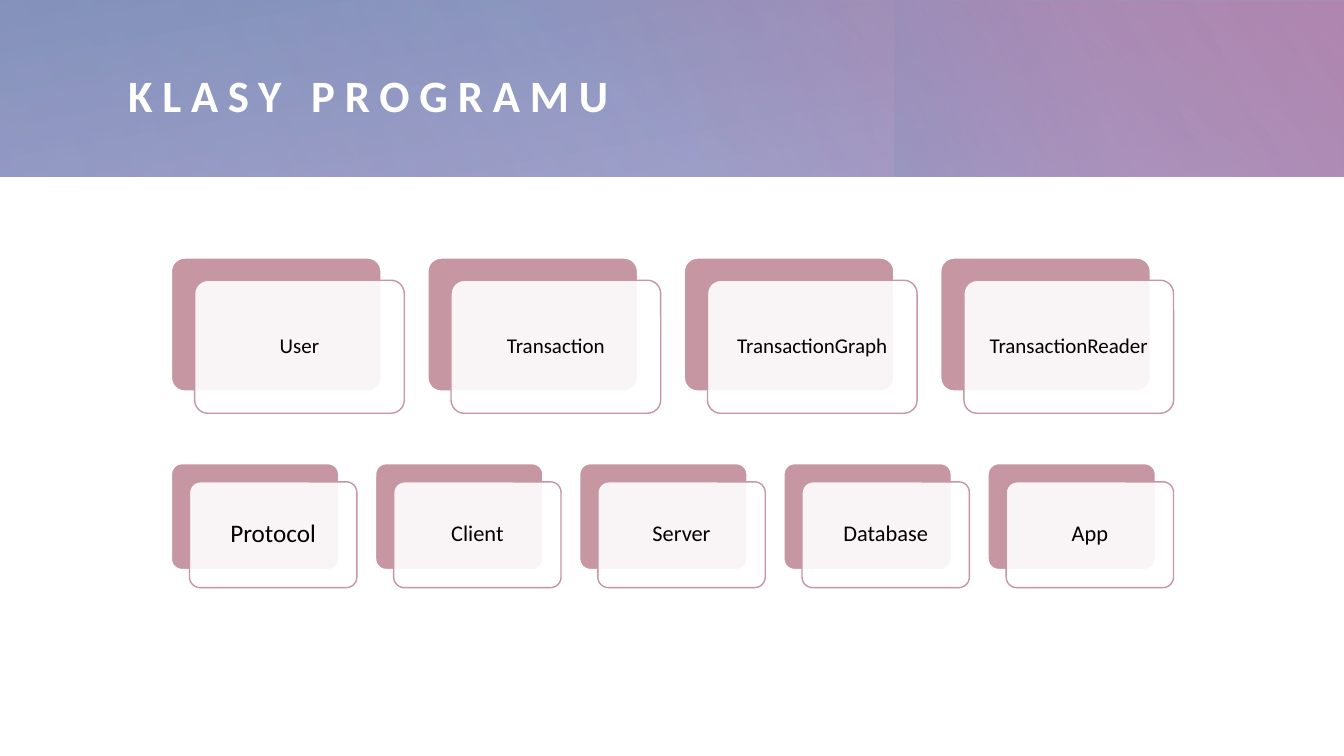
from dataclasses import dataclass

from lxml.etree import SubElement
from pptx import Presentation
from pptx.dml.color import RGBColor
from pptx.enum.shapes import MSO_SHAPE
from pptx.enum.text import MSO_ANCHOR, PP_ALIGN
from pptx.oxml.ns import qn
from pptx.shapes.autoshape import Shape
from pptx.slide import Slide
from pptx.text.text import TextFrame
from pptx.util import Inches, Pt

COLOURS = {
    "white": "FFFFFF",
    "black": "000000",
    "rose": "C696A2",
    "lavender": "9A96C6",
    "blue": "7F92BA",
    "pink": "BA7FA6",
    "violet": "9D7FBA",
}
FONT = "Calibri"
CARDS_LEFT = 1.7
CARDS_RIGHT = 11.64


@dataclass(frozen=True)
class Stop:
    position: int
    colour: str
    opacity: int = 100


@dataclass(frozen=True)
class Band:
    left: float
    top: float
    width: float
    height: float
    angle: int
    start: Stop
    end: Stop
    rotation: int = 0


@dataclass(frozen=True)
class Label:
    text: str
    size: int


@dataclass(frozen=True)
class CardRow:
    top: float
    width: float
    height: float
    shift_x: float
    shift_y: float
    inset: float
    labels: tuple[Label, ...]


BANDS = (
    Band(0, 0, 13.33, 1.75, 260, Stop(0, "lavender", 83), Stop(100, "blue")),
    Band(4.81, 0.01, 8.52, 1.74, 310, Stop(22, "pink", 0), Stop(99, "pink")),
    Band(9.87, -0.99, 1.75, 3.74, 250, Stop(45, "violet", 0), Stop(99, "blue", 33), 270),
    Band(2.68, 0, 10.64, 1.75, 330, Stop(0, "lavender", 30), Stop(99, "lavender", 0), 180),
    Band(0, 0, 8.65, 1.75, 340, Stop(0, "lavender", 21), Stop(99, "lavender", 0)),
)
ROWS = (
    CardRow(2.56, 2.08, 1.32, 0.23, 0.22, 0.1, (
        Label("User", 15),
        Label("Transaction", 15),
        Label("TransactionGraph", 15),
        Label("TransactionReader", 15),
    )),
    CardRow(4.6, 1.66, 1.05, 0.18, 0.18, 0.1, (
        Label("Protocol", 18),
        Label("Client", 16),
        Label("Server", 16),
        Label("Database", 16),
        Label("App", 16),
    )),
)


def rgb(name: str) -> RGBColor:
    """Return the named colour."""
    return RGBColor.from_string(COLOURS[name])


def set_opacity(shape: Shape, opacities: tuple[int, ...]) -> None:
    """Give each fill colour of the shape its opacity in percent."""
    for colour, opacity in zip(shape._element.spPr.iter(qn("a:srgbClr")), opacities):
        if opacity < 100:
            SubElement(colour, qn("a:alpha")).set("val", str(opacity * 1000))


def add_band(page: Slide, band: Band) -> None:
    """Draw one gradient layer of the header."""
    shape = page.shapes.add_shape(
        MSO_SHAPE.RECTANGLE,
        Inches(band.left), Inches(band.top), Inches(band.width), Inches(band.height),
    )
    shape.shadow.inherit = False
    shape.rotation = band.rotation
    shape.line.fill.background()
    shape.fill.gradient()
    shape.fill.gradient_angle = 360 - band.angle
    stops = (band.start, band.end)
    for target, stop in zip(shape.fill.gradient_stops, stops):
        target.position = stop.position / 100
        target.color.rgb = rgb(stop.colour)
    set_opacity(shape, tuple(stop.opacity for stop in stops))


def add_span(frame: TextFrame, text: str, size: int, colour: str):
    """Add a formatted run to the first paragraph and return it."""
    span = frame.paragraphs[0].add_run()
    span.text = text
    span.font.name = FONT
    span.font.size = Pt(size)
    span.font.color.rgb = rgb(colour)
    return span


def set_insets(frame: TextFrame, inset: float) -> None:
    """Centre the text vertically and set equal insets."""
    frame.word_wrap = True
    frame.vertical_anchor = MSO_ANCHOR.MIDDLE
    frame.margin_left = frame.margin_right = Inches(inset)
    frame.margin_top = frame.margin_bottom = Inches(inset)


def add_title(page: Slide, text: str) -> None:
    """Place the title above the header layers."""
    title = page.shapes.title
    title.left, title.top = Inches(1.27), Inches(0.41)
    title.width, title.height = Inches(11.35), Inches(1.06)
    set_insets(title.text_frame, 0)
    title.text_frame.paragraphs[0].alignment = PP_ALIGN.LEFT
    span = add_span(title.text_frame, text, 32, "white")
    span.font.bold = True
    span.font._element.set("spc", "700")
    page.shapes._spTree.append(title._element)


def add_panel(page: Slide, row: CardRow, left: float, top: float, fill: str, line: str) -> Shape:
    """Draw one rounded panel of a card."""
    panel = page.shapes.add_shape(
        MSO_SHAPE.ROUNDED_RECTANGLE,
        Inches(left), Inches(top), Inches(row.width), Inches(row.height),
    )
    panel.adjustments[0] = 0.1
    panel.shadow.inherit = False
    panel.fill.solid()
    panel.fill.fore_color.rgb = rgb(fill)
    panel.line.color.rgb = rgb(line)
    panel.line.width = Pt(1)
    return panel


def add_row(page: Slide, row: CardRow) -> None:
    """Spread the cards of a row evenly between the common edges."""
    span_width = CARDS_RIGHT - CARDS_LEFT - row.shift_x - row.width
    pitch = span_width / (len(row.labels) - 1)
    for index, label in enumerate(row.labels):
        left = CARDS_LEFT + index * pitch
        add_panel(page, row, left, row.top, "rose", "white")
        front = add_panel(
            page, row, left + row.shift_x, row.top + row.shift_y, "white", "rose"
        )
        set_opacity(front, (90,))
        set_insets(front.text_frame, row.inset)
        para = front.text_frame.paragraphs[0]
        para.alignment = PP_ALIGN.CENTER
        para.line_spacing = 0.9
        add_span(front.text_frame, label.text, label.size, "black")


def main() -> None:
    """Build the slide and save the deck."""
    deck = Presentation()
    deck.slide_width, deck.slide_height = Inches(13.33), Inches(7.5)
    page = deck.slides.add_slide(deck.slide_layouts[5])
    for band in BANDS:
        add_band(page, band)
    add_title(page, "KLASY PROGRAMU")
    for row in ROWS:
        add_row(page, row)
    deck.save("out.pptx")


if __name__ == "__main__":
    main()
